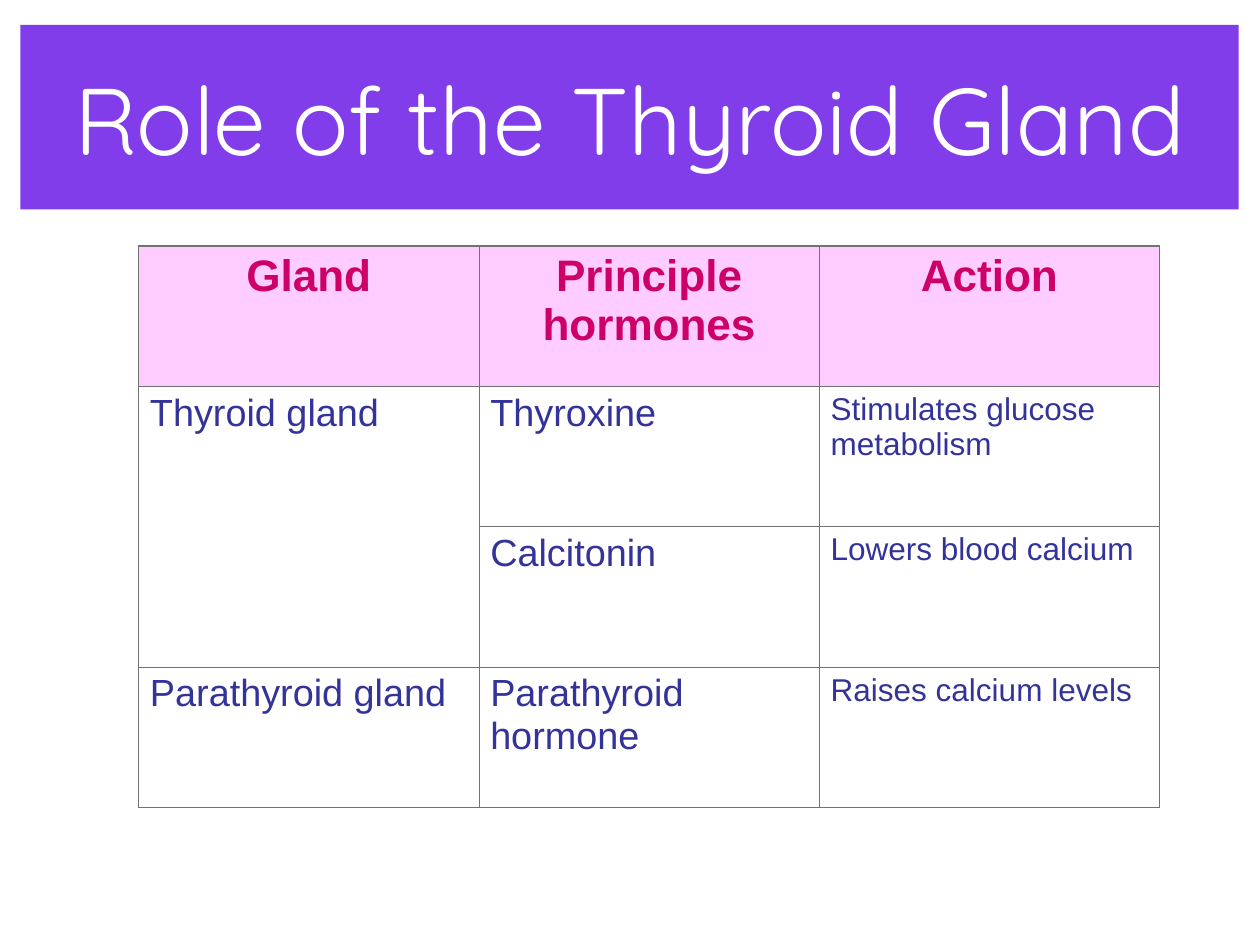
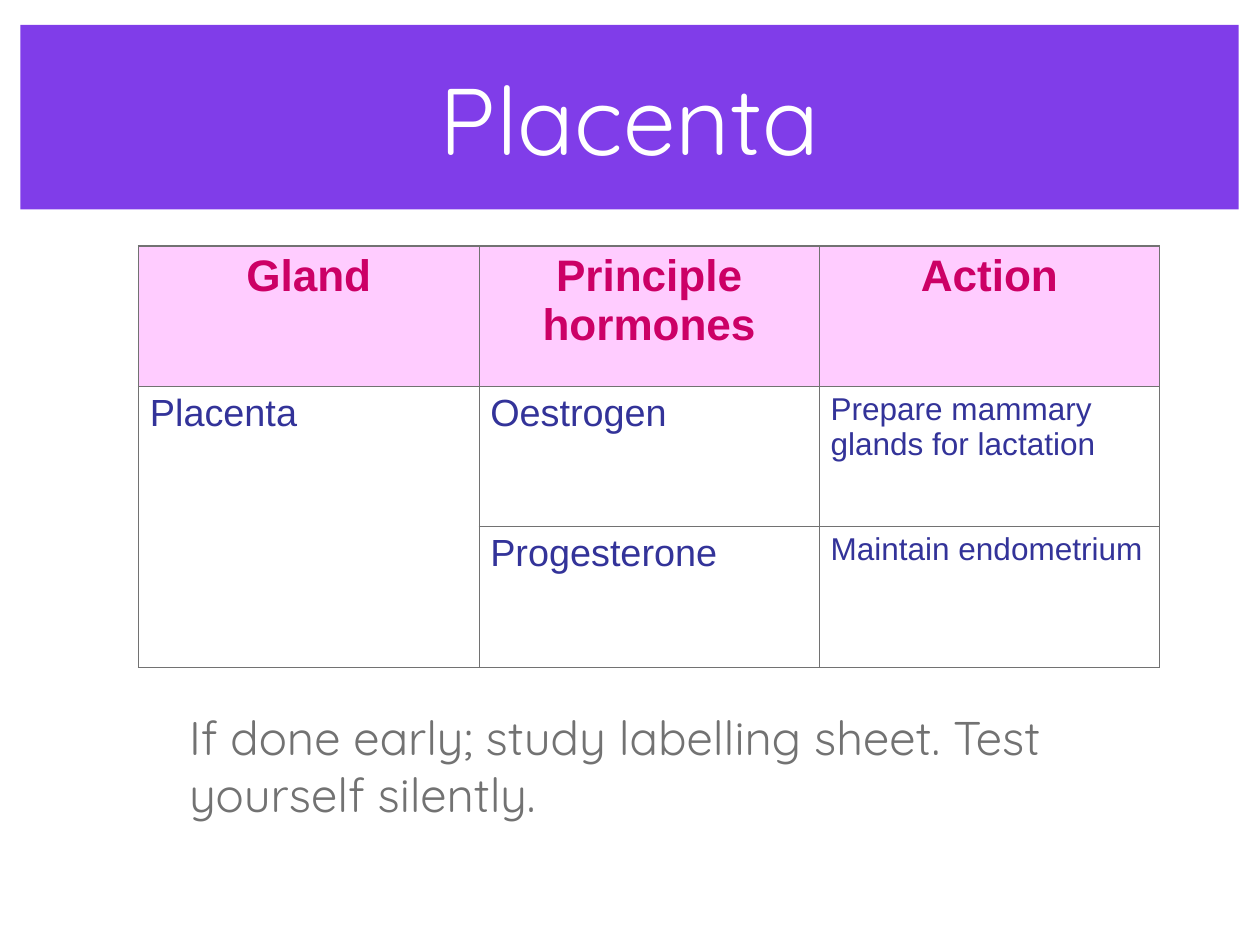
import pptx
import pptx.util
import pptx.dml.color
import pptx.enum.shapes
import pptx.enum.text
import pptx.oxml
import pptx.oxml.ns

PX = 1588  # 576 px to the inch
COLORS = {
    "band": "803DE9",
    "title": "FFFFFF",
    "header_fill": "FFCCFF",
    "header": "CC0066",
    "body": "333399",
    "grey": "727272",
}
THIN, THICK = 0.45, 1.08
COL_W, ROW_H = 1728, 713
HEADERS = ["Gland", "Principle hormones", "Action"]
BODY_SIZES = [24, 24, 20]
CENTER = pptx.enum.text.PP_ALIGN.CENTER
LEFT = pptx.enum.text.PP_ALIGN.LEFT

SLIDES = [
    {
        "title": "Role of the Thyroid Gland",
        "rows": [
            ["Thyroid gland", "Thyroxine", "Stimulates glucose metabolism"],
            ["", "Calcitonin", "Lowers blood calcium"],
            ["Parathyroid gland", "Parathyroid hormone", "Raises calcium levels"],
        ],
        "bottom": THICK,
        "note": None,
    },
    {
        "title": "Placenta",
        "rows": [
            ["Placenta", "Oestrogen", "Prepare mammary glands for lactation"],
            ["", "Progesterone", "Maintain endometrium"],
        ],
        "bottom": THIN,
        "note": "If done early; study labelling sheet. Test yourself silently.",
    },
]


def write(tf, text, size, font, color, align=LEFT, bold=False):
    tf.word_wrap = True
    p = tf.paragraphs[0]
    p.text = text
    p.alignment = align
    p.font.size = pptx.util.Pt(size)
    p.font.name = font
    p.font.bold = bold
    p.font.color.rgb = pptx.dml.color.RGBColor.from_string(COLORS[color])


def set_borders(cell, widths):
    """Draw the cell's left, right, top and bottom lines, widths in points."""
    for side, width in zip("LRTB", widths):
        cell._tc.get_or_add_tcPr().append(pptx.oxml.parse_xml(
            f'<a:ln{side} {pptx.oxml.ns.nsdecls("a")} w="{int(pptx.util.Pt(width))}">'
            f'<a:solidFill><a:srgbClr val="{COLORS["grey"]}"/></a:solidFill></a:ln{side}>'))


prs = pptx.Presentation()
prs.slide_width = pptx.util.Emu(10160000)
prs.slide_height = pptx.util.Emu(7621588)

for content in SLIDES:
    s = prs.slides.add_slide(prs.slide_layouts[6])

    band = s.shapes.add_shape(pptx.enum.shapes.MSO_SHAPE.RECTANGLE,
                              104 * PX, 127 * PX, 6185 * PX, 937 * PX)
    band.shadow.inherit = False
    band.fill.solid()
    band.fill.fore_color.rgb = pptx.dml.color.RGBColor.from_string(COLORS["band"])
    band.line.fill.background()
    tf = band.text_frame
    tf.margin_left = tf.margin_right = tf.margin_top = tf.margin_bottom = 23 * PX
    tf.vertical_anchor = pptx.enum.text.MSO_ANCHOR.MIDDLE
    write(tf, content["title"], 60, "Quicksand", "title", CENTER)

    rows = [HEADERS] + content["rows"]
    last_row, last_col = len(rows) - 1, len(HEADERS) - 1
    table = s.shapes.add_table(len(rows), len(HEADERS), 704 * PX, 1249 * PX,
                               COL_W * len(HEADERS) * PX, ROW_H * len(rows) * PX).table
    table.first_row = table.horz_banding = False
    table.cell(1, 0).merge(table.cell(2, 0))
    for i, row in enumerate(rows):
        for j, text in enumerate(row):
            cell = table.cell(i, j)
            set_borders(cell, [THICK if j == 0 else THIN,
                               THICK if j == last_col else THIN,
                               THICK if i == 0 else THIN,
                               content["bottom"] if i == last_row else THIN])
            if i == 0:
                cell.fill.solid()
                cell.fill.fore_color.rgb = pptx.dml.color.RGBColor.from_string(COLORS["header_fill"])
                write(cell.text_frame, text, 28, "Arial", "header", CENTER, True)
            else:
                cell.fill.background()
                if text:
                    write(cell.text_frame, text, BODY_SIZES[j], "Arial", "body")

    if content["note"]:
        note = s.shapes.add_textbox(904 * PX, 3569 * PX, 4787 * PX, 634 * PX)
        note.text_frame.auto_size = pptx.enum.text.MSO_AUTO_SIZE.SHAPE_TO_FIT_TEXT
        write(note.text_frame, content["note"], 30, "Quicksand", "grey")

prs.save("out.pptx")
